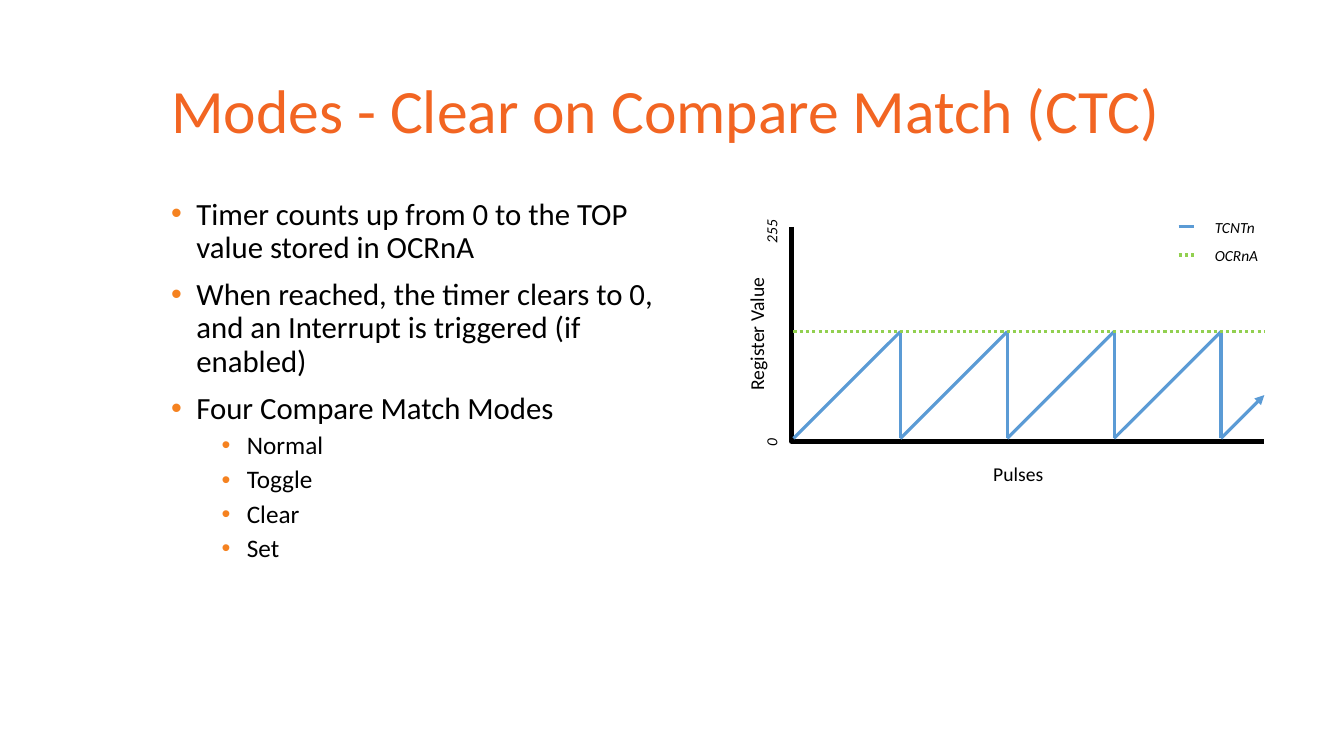
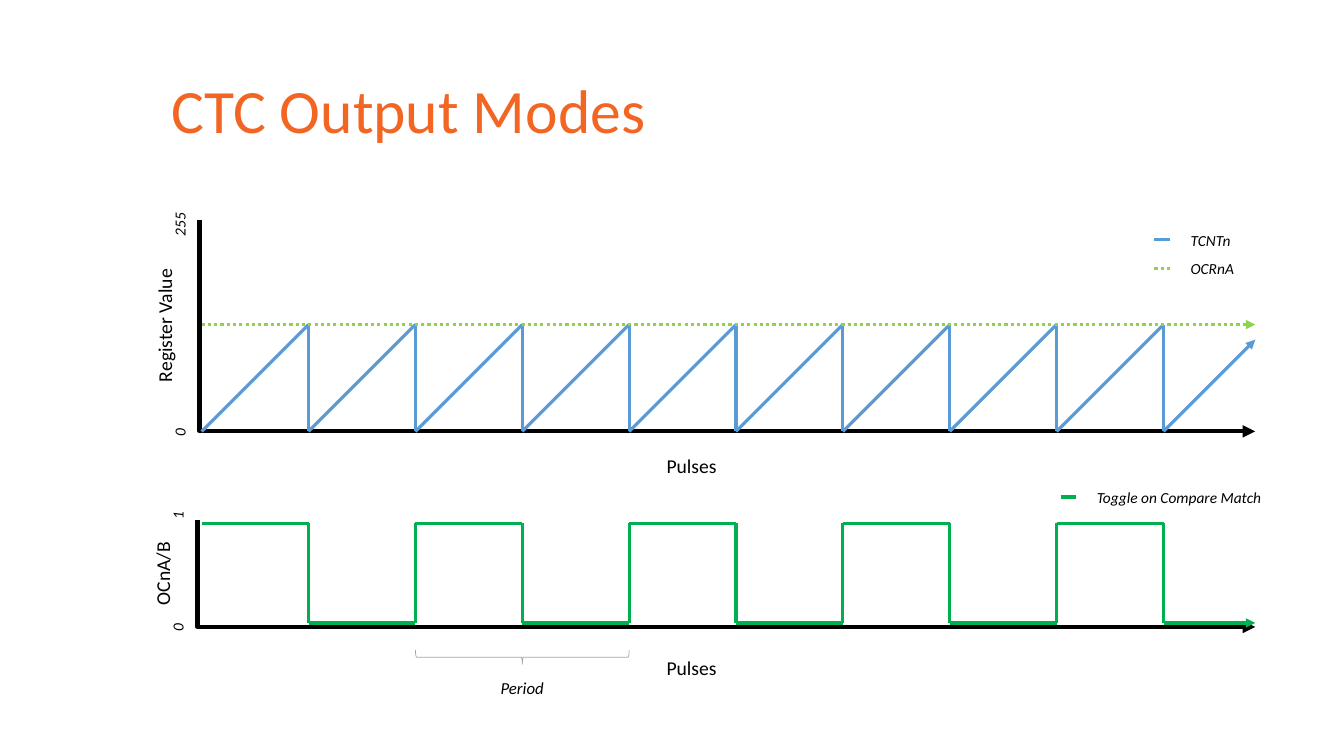
"""Builds two slides on the timer mode that clears on compare match."""
import collections

import pptx
import pptx.dml.color
import pptx.enum.dml
import pptx.enum.shapes
import pptx.enum.text
import pptx.oxml
import pptx.oxml.ns
import pptx.util

Inches = pptx.util.Inches
Pt = pptx.util.Pt
Box = collections.namedtuple("Box", "left top right bottom")

FONT = "Calibri"
COLOURS = {
    "title": "F26522",
    "bullet": "F58220",
    "text": "000000",
    "axis": "000000",
    "counter": "5B9BD5",
    "compare": "92D050",
    "output": "00B050",
    "brace": "A5A5A5",
}
PERIOD = 1.06
AXIS_GAP = 0.02
DOTTED = pptx.enum.dml.MSO_LINE.ROUND_DOT
LEFT = pptx.enum.text.PP_ALIGN.LEFT
CENTRE = pptx.enum.text.PP_ALIGN.CENTER
TOP = pptx.enum.text.MSO_ANCHOR.TOP
MIDDLE = pptx.enum.text.MSO_ANCHOR.MIDDLE


def colour(name):
    return pptx.dml.color.RGBColor.from_string(COLOURS[name])


def add_child(parent, tag, **attributes):
    child = parent.makeelement(pptx.oxml.ns.qn(tag), attributes)
    parent.append(child)
    return child


def write(para, text, size=14, ink="text", italic=False, align=LEFT):
    para.alignment = align
    span = para.add_run()
    span.text = text
    span.font.name = FONT
    span.font.size = Pt(size)
    span.font.italic = italic
    span.font.color.rgb = colour(ink)


def text_frame(page, box, wrap=True, anchor=TOP, turn=0):
    shape = page.shapes.add_textbox(
        Inches(box.left), Inches(box.top),
        Inches(box.right - box.left), Inches(box.bottom - box.top))
    shape.rotation = turn
    shape.text_frame.word_wrap = wrap
    shape.text_frame.vertical_anchor = anchor
    return shape.text_frame


def label(page, text, x, y, width=0.7, turn=0, **style):
    """Writes one unwrapped line of text centred on a point."""
    box = Box(x - width / 2, y - 0.16, x + width / 2, y + 0.16)
    frame = text_frame(page, box, wrap=False, anchor=MIDDLE, turn=turn)
    write(frame.paragraphs[0], text, **{"align": CENTRE, **style})


def stroke(page, start, end, ink, width=2.25, dash=None, arrow=False, elbow=False):
    """Draws a straight line, or one that turns at its left end."""
    kinds = pptx.enum.shapes.MSO_CONNECTOR
    line = page.shapes.add_connector(
        kinds.ELBOW if elbow else kinds.STRAIGHT,
        *[Inches(value) for value in (*start, *end)])
    line.line.color.rgb = colour(ink)
    line.line.width = Pt(width)
    if dash:
        line.line.dash_style = dash
    properties = line._element.spPr
    if elbow:
        guides = properties.find(".//" + pptx.oxml.ns.qn("a:avLst"))
        add_child(guides, "a:gd", name="adj1", fmla="val 0")
    if arrow:
        add_child(line.line._get_or_add_ln(), "a:tailEnd", type="triangle")
    add_child(properties, "a:effectLst")


def title(page, text, box=Box(1.6, 0.4, 13.1, 1.85)):
    para = text_frame(page, box, anchor=MIDDLE).paragraphs[0]
    para.line_spacing = 0.9
    write(para, text, size=44, ink="title")


def bullets(page, box, items):
    """Lists pairs of level and text."""
    frame = text_frame(page, box)
    for index, (level, text) in enumerate(items):
        para = frame.add_paragraph() if index else frame.paragraphs[0]
        para.level = level
        para.line_spacing = 0.9
        para.space_before = Pt(5 if level else 10)
        write(para, text, size=18 if level else 22)
        properties = para._p.get_or_add_pPr()
        properties.set("marL", str(Inches(0.25 + 0.5 * level)))
        properties.set("indent", str(Inches(-0.25)))
        add_child(add_child(properties, "a:buClr"), "a:srgbClr", val=COLOURS["bullet"])
        add_child(properties, "a:buFont", typeface="Arial")
        add_child(properties, "a:buChar", char="•")


def legend(page, x, y, entries):
    for index, (text, ink, dash) in enumerate(entries):
        row = y + 0.28 * index
        stroke(page, (x, row), (x + 0.15, row), ink, dash=dash)
        box = Box(x + 0.26, row - 0.14, x + 2.12, row + 0.15)
        write(text_frame(page, box).paragraphs[0], text, size=11, italic=True)


def axes(page, box, name, high, high_y, pulses, arrow=False):
    """Draws both axes along the left and bottom of the box, with their labels."""
    stroke(page, (box.left, box.top), (box.right, box.bottom), "axis",
           width=3, arrow=arrow, elbow=True)
    label(page, name, box.left - 0.35, (box.top + box.bottom) / 2, width=1.34, turn=270)
    for text, y in ((high, high_y), ("0", box.bottom + 0.01)):
        label(page, text, box.left - 0.2, y, width=0.44, turn=270, size=11, italic=True)
    label(page, "Pulses", *pulses)


def counter_plot(page, box, pulses, legend_at, lift=0, arrow=False):
    """Plots a counter that rises to the compare value and clears."""
    axes(page, box, "Register Value", "255", box.top + 0.05, pulses, arrow)
    start, base = box.left + AXIS_GAP, box.bottom - lift
    peak = base - PERIOD
    ramps = int((box.right - start) // PERIOD)
    for index in range(ramps):
        x = start + PERIOD * index
        clear = x + PERIOD
        stroke(page, (x, base), (clear, peak), "counter")
        stroke(page, (clear, base), (clear, peak), "counter")
    last = start + PERIOD * ramps
    stroke(page, (last, base), (box.right, base - (box.right - last)), "counter", arrow=True)
    stroke(page, (start, peak), (box.right, peak), "compare", dash=DOTTED, arrow=arrow)
    legend(page, *legend_at, [("TCNTn", "counter", None), ("OCRnA", "compare", DOTTED)])


def output_plot(page, box, pulses, legend_at):
    """Plots an output that toggles at every compare match."""
    axes(page, box, "OCnA/B", "1", box.top - 0.05, pulses, arrow=True)
    start, high, low = box.left + 0.04, box.top + 0.03, box.bottom - 0.04
    toggles = int((box.right - start) // PERIOD)
    for index in range(toggles + 1):
        level = low if index % 2 else high
        x = start + PERIOD * index
        last = index == toggles
        end = box.right if last else x + PERIOD
        stroke(page, (x, level), (end, level), "output", arrow=last)
        if not last:
            stroke(page, (end, high), (end, low), "output")
    legend(page, *legend_at, [("Toggle on Compare Match", "output", None)])
    period_mark(page, start + 3 * PERIOD, box.bottom + 0.3)


def period_mark(page, x, y):
    """Spans two toggles with a brace that points down at its label."""
    depth, span = 0.14, 2 * PERIOD
    brace = page.shapes.add_shape(
        pptx.enum.shapes.MSO_SHAPE.RIGHT_BRACE,
        Inches(x - depth / 2), Inches(y - span / 2), Inches(depth), Inches(span))
    brace.rotation = 90
    brace.shadow.inherit = False
    brace.fill.background()
    brace.line.color.rgb = colour("brace")
    brace.line.width = Pt(0.5)
    label(page, "Period", x, y + 0.3, size=12, italic=True)


def mode_slide(page):
    title(page, "Modes - Clear on Compare Match (CTC)")
    counter_plot(page, Box(7.85, 2.25, 12.54, 4.38), pulses=(10.1, 4.7),
                 legend_at=(11.69, 2.25), lift=0.03)
    bullets(page, Box(1.6, 1.92, 6.93, 6.95), [
        (0, "Timer counts up from 0 to the TOP value stored in OCRnA"),
        (0, "When reached, the timer clears to 0, and an Interrupt is triggered (if enabled)"),
        (0, "Four Compare Match Modes"),
        (1, "Normal"),
        (1, "Toggle"),
        (1, "Clear"),
        (1, "Set"),
    ])


def output_slide(page):
    title(page, "CTC Output Modes")
    counter_plot(page, Box(1.98, 2.18, 12.45, 4.28), pulses=(6.86, 4.62),
                 legend_at=(11.45, 2.38), arrow=True)
    output_plot(page, Box(1.96, 5.16, 12.45, 6.22), pulses=(6.86, 6.62),
                legend_at=(10.52, 4.93))


def main():
    deck = pptx.Presentation()
    deck.slide_width, deck.slide_height = Inches(13.33), Inches(7.5)
    for build in (mode_slide, output_slide):
        build(deck.slides.add_slide(deck.slide_layouts[6]))
    deck.save("out.pptx")


main()
